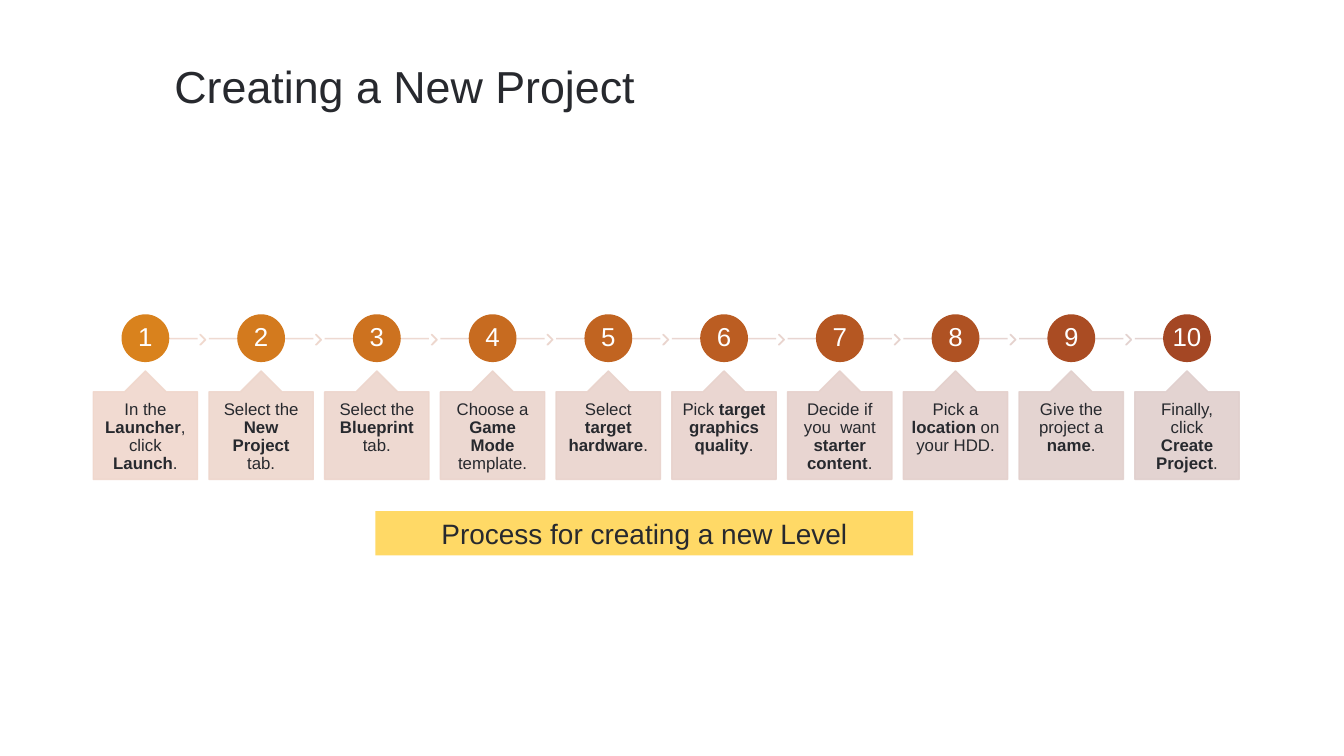
"""Builds the ten-step slide on creating a new project."""
from lxml import etree
from pptx import Presentation
from pptx import util as u
from pptx.dml.color import RGBColor
from pptx.enum import shapes, text
from pptx.oxml.ns import qn

INK = RGBColor(0x27, 0x29, 0x2E)
WHITE = RGBColor(0xFF, 0xFF, 0xFF)
YELLOW = RGBColor(0xFF, 0xD9, 0x66)

STEPS = [
    ("In the *Launcher*, click *Launch*.", "D9821D", "F0D7CC"),
    ("Select the *New Project *tab.", "D37A1E", "EED6CC"),
    ("Select the *Blueprint* tab.", "CD721F", "EDD5CC"),
    ("Choose a *Game Mode *template.", "C76B20", "EBD4CC"),
    ("Select *target hardware*.", "C16421", "E9D3CC"),
    ("Pick *target graphics quality*.", "BB5D22", "E8D2CC"),
    ("Decide if you  want *starter content*.", "B55722", "E6D1CC"),
    ("Pick a *location* on your HDD.", "AF5223", "E4D0CC"),
    ("Give the project a *name*.", "AA4C23", "E2D0CD"),
    ("Finally, click *Create Project*.", "A44724", "E0CFCD"),
]
FIRST_LEFT, LAST_LEFT = 1.85, 22.52
PITCH = (LAST_LEFT - FIRST_LEFT) / (len(STEPS) - 1)
CARD_WIDTH = 2.07
CIRCLE = 0.92
AXIS = 6.72


def assign(target, values):
    """Set each named attribute on the target."""
    for name, value in values.items():
        setattr(target, name, value)


class Deck:
    """Holds the text style and the current slide."""

    font = {"name": "Arial"}

    def __init__(self, width, height):
        """Start a blank slide of the given size."""
        self.show = Presentation()
        assign(self.show, {"slide_width": u.Inches(width), "slide_height": u.Inches(height)})
        self.slide = self.show.slides.add_slide(self.show.slide_layouts[6])

    def fill_text(self, shape, words, size, color=INK, inset=(0.2, 0.1), wrap=True,
                  anchor=text.MSO_ANCHOR.TOP, align=text.PP_ALIGN.CENTER, spacing=1.0):
        """Fill a shape with one paragraph, bold between asterisks."""
        side, edge = (u.Inches(value) for value in inset)
        frame = shape.text_frame
        assign(frame, {"margin_left": side, "margin_right": side, "margin_top": edge,
                       "margin_bottom": edge, "word_wrap": wrap, "vertical_anchor": anchor})
        paragraph = frame.paragraphs[0]
        assign(paragraph, {"alignment": align, "line_spacing": spacing})
        for index, part in enumerate(words.split("*")):
            run = paragraph.add_run()
            run.text = part
            assign(run.font, {**self.font, "size": u.Pt(size), "bold": index % 2 == 1})
            run.font.color.rgb = color

    def fade(self, shape):
        """Make the fill and line of a shape 90% opaque."""
        for color in shape._element.spPr.iter(qn("a:srgbClr")):
            etree.SubElement(color, qn("a:alpha"), val="90000")

    def shape(self, kind, box, fill, outlined=True, adjust=(), faded=False):
        """Add a flat preset shape."""
        item = self.slide.shapes.add_shape(kind, *map(u.Inches, box))
        item.shadow.inherit = False
        item.fill.solid()
        item.fill.fore_color.rgb = fill
        if outlined:
            item.line.color.rgb = fill
            item.line.width = u.Pt(2)
        else:
            item.line.fill.background()
        for index, value in enumerate(adjust):
            item.adjustments[index] = value
        if faded:
            self.fade(item)
        return item

    def line(self, start, end, y, color):
        """Add a level line between two positions."""
        item = self.slide.shapes.add_connector(
            shapes.MSO_CONNECTOR.STRAIGHT, *map(u.Inches, (start, y, end, y)))
        item.line.color.rgb = color
        item.line.width = u.Pt(2)
        self.fade(item)
        etree.SubElement(item._element.spPr, qn("a:effectLst"))

    def label(self, box, words, size, **style):
        """Add a text box."""
        self.fill_text(self.slide.shapes.add_textbox(*map(u.Inches, box)), words, size, **style)

    def step(self, index, words, strong, tint):
        """Add one numbered step with its line, arrow and card."""
        left = FIRST_LEFT + index * PITCH
        right, center = left + CARD_WIDTH, left + CARD_WIDTH / 2
        is_last = index == len(STEPS) - 1
        self.line(left if index else center, center if is_last else right, AXIS, tint)
        if not is_last:
            self.shape(shapes.MSO_SHAPE.CHEVRON, (right + 0.05, AXIS - 0.08, 0.11, 0.2),
                       tint, adjust=[0.9], faded=True)
        number = self.shape(shapes.MSO_SHAPE.OVAL,
                            (center - CIRCLE / 2, 6.25, CIRCLE, CIRCLE), strong)
        self.fill_text(number, str(index + 1), 37, WHITE, inset=(0.04, 0.04), wrap=False,
                       anchor=text.MSO_ANCHOR.MIDDLE, spacing=0.9)
        card = self.shape(shapes.MSO_SHAPE.UP_ARROW_CALLOUT, (left, 7.36, CARD_WIDTH, 2.15),
                          tint, adjust=[0.4, 0.2, 0.2, 0.81], faded=True)
        self.fill_text(card, words, 24, inset=(0.16, 0.18), spacing=0.9)


def main():
    """Build and save the slide."""
    deck = Deck(26.67, 15)
    for index, (words, strong, tint) in enumerate(STEPS):
        deck.step(index, words, RGBColor.from_string(strong), RGBColor.from_string(tint))
    deck.label((3.26, 1.07, 22.49, 1.28), "Creating a New Project", 64,
               align=text.PP_ALIGN.LEFT)
    caption = deck.shape(shapes.MSO_SHAPE.RECTANGLE, (7.45, 10.14, 10.67, 0.88),
                         YELLOW, outlined=False)
    deck.fill_text(caption, "Process for creating a new Level", 40)
    deck.show.save("out.pptx")


if __name__ == "__main__":
    main()
